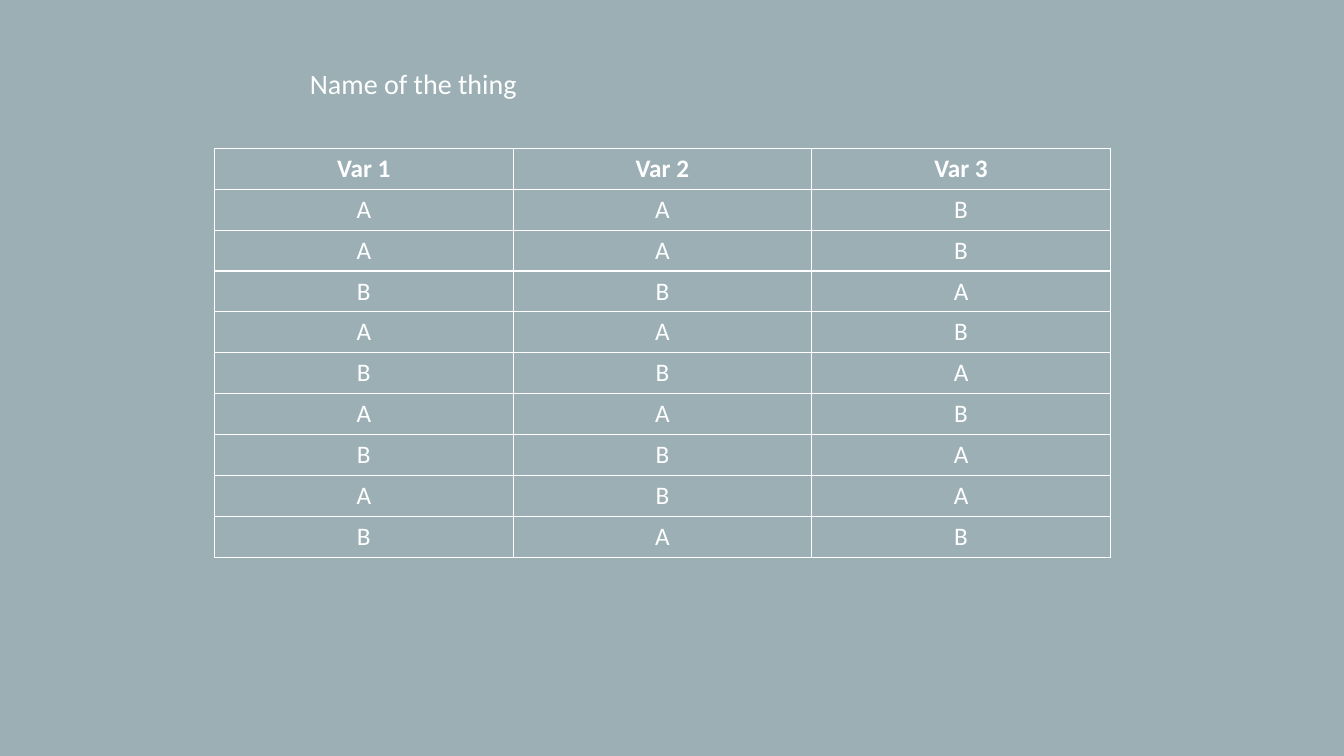
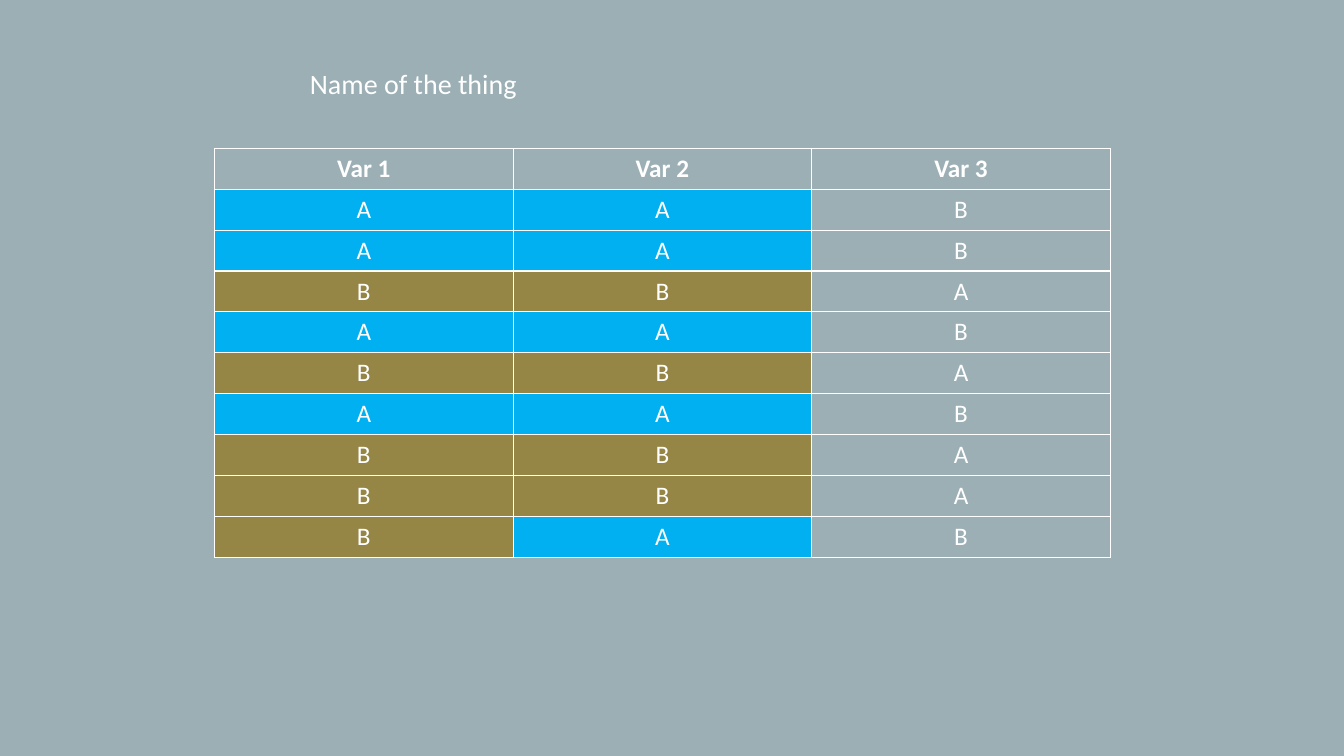
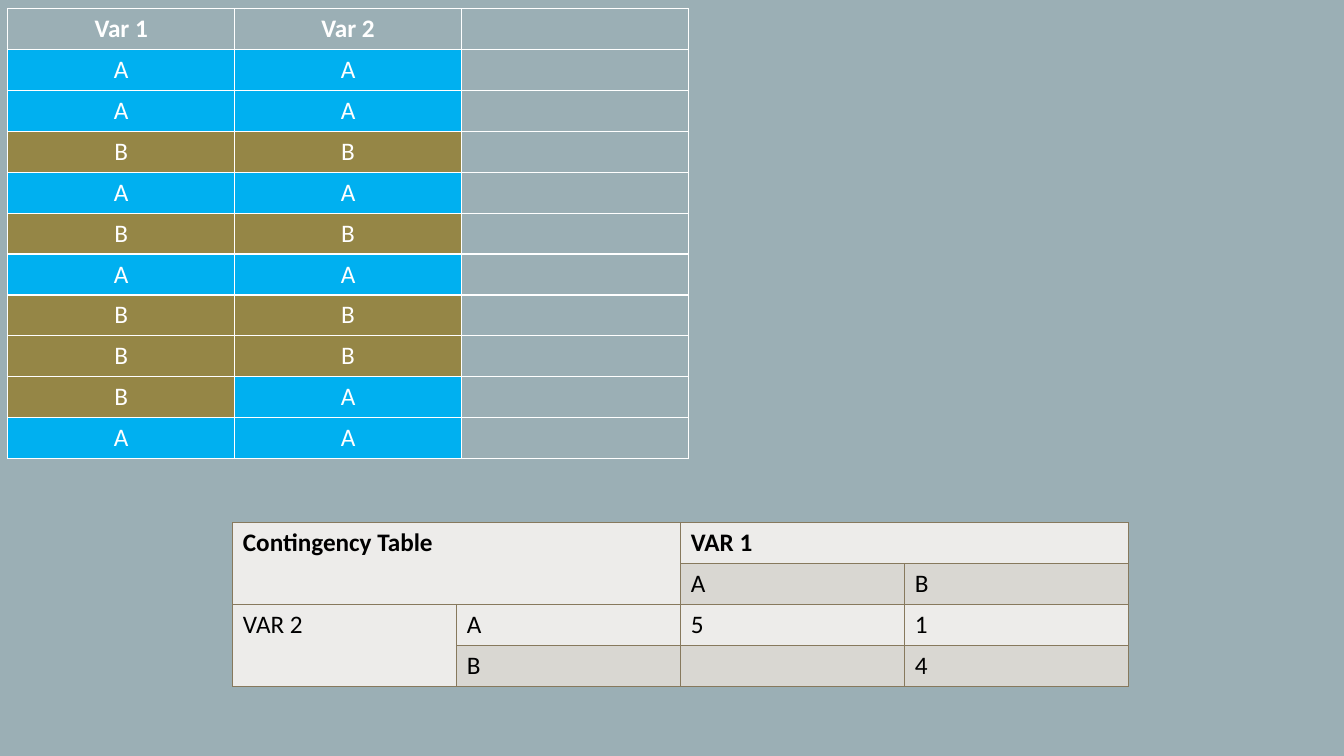
from lxml import etree
from pptx import Presentation
from pptx.dml.color import RGBColor
from pptx.enum.text import PP_ALIGN
from pptx.oxml.ns import qn
from pptx.util import Pt

LEFT, CENTER = PP_ALIGN.LEFT, PP_ALIGN.CENTER
FONT = "Calibri"
COLORS = {
    "page": "9BAFB5",
    "white": "FFFFFF",
    "black": "000000",
    "A": "00B0F0",
    "B": "958646",
    "grid": "87795D",
    "light": "EDECEA",
    "dark": "D9D7D2",
}
ROW_HEIGHT = 29.2
TITLE_BOX = (27.4, 43.9, 535.7, 97.9)
DATA_BOX = (153.2, 106, 640)
SMALL_DATA_BOX = (5.6, 6.3, 486)
CONTINGENCY_BOX = (166.3, 373.4, 640)

HEADERS = ["Var 1", "Var 2", "Var 3"]
FIRST_ROWS = ["AAB", "AAB", "BBA", "AAB", "BBA", "AAB", "BBA", "ABA", "BAB"]
SORTED_ROWS = FIRST_ROWS[:7] + ["BBA"] + FIRST_ROWS[8:]
PAIR_ROWS = [row[:2] + " " for row in SORTED_ROWS] + ["AA "]

CONTINGENCY_ROWS = [
    ["Contingency Table", "", "VAR 1", ""],
    ["", "", "A", "B"],
    ["VAR 2", "A", "5", "1"],
    ["", "B", "", "4"],
]
CONTINGENCY_SPANS = [((0, 0), (1, 1)), ((0, 2), (0, 3)), ((2, 0), (3, 0))]


def rgb(name):
    return RGBColor.from_string(COLORS[name])


def write_text(frame, text, size=18, color="white", bold=False, align=CENTER, before=0):
    para = frame.paragraphs[0]
    para.alignment = align
    para.space_before = Pt(before)
    span = para.add_run()
    span.text = text
    span.font.name = FONT
    span.font.size = Pt(size)
    span.font.bold = bold
    span.font.color.rgb = rgb(color)


def add_borders(cell, color):
    properties = cell._tc.get_or_add_tcPr()
    for side in ("a:lnL", "a:lnR", "a:lnT", "a:lnB"):
        line = etree.SubElement(properties, qn(side), w=str(Pt(1)))
        fill = etree.SubElement(line, qn("a:solidFill"))
        etree.SubElement(fill, qn("a:srgbClr"), val=COLORS[color])


def add_grid(page, box, rows, fill_for, border, **text_format):
    left, top, width = box
    columns = len(rows[0])
    table = page.shapes.add_table(
        len(rows), columns, Pt(left), Pt(top), Pt(width), Pt(ROW_HEIGHT * len(rows))
    ).table
    table.first_row = False
    table.horz_banding = False
    for column in table.columns:
        column.width = Pt(width / columns)
    for row_index, texts in enumerate(rows):
        table.rows[row_index].height = Pt(ROW_HEIGHT)
        for column_index, text in enumerate(texts):
            cell = table.cell(row_index, column_index)
            add_borders(cell, border)
            fill = fill_for(row_index, column_index)
            if fill:
                cell.fill.solid()
                cell.fill.fore_color.rgb = rgb(fill)
            else:
                cell.fill.background()
            if text.strip():
                write_text(cell.text_frame, text, bold=row_index == 0, **text_format)
    return table


def add_data_table(page, box, headers, rows, colored=True):
    def fill_for(row, column):
        return rows[row - 1][column] if colored and row and column < 2 else None

    add_grid(page, box, [headers] + rows, fill_for, "white")


def add_contingency_table(page, box):
    def fill_for(row, column):
        return "dark" if row % 2 and column else "light"

    table = add_grid(page, box, CONTINGENCY_ROWS, fill_for, "grid", color="black", align=LEFT)
    for start, end in CONTINGENCY_SPANS:
        table.cell(*start).merge(table.cell(*end))


def add_title(page, box, text):
    frame = page.shapes.add_textbox(*map(Pt, box)).text_frame
    frame.word_wrap = True
    write_text(frame, text, size=20, before=10)


def add_page(deck):
    page = deck.slides.add_slide(deck.slide_layouts[6])
    page.background.fill.solid()
    page.background.fill.fore_color.rgb = rgb("page")
    return page


def add_data_page(deck, rows, colored):
    page = add_page(deck)
    add_title(page, TITLE_BOX, "Name of the thing")
    add_data_table(page, DATA_BOX, HEADERS, rows, colored)


def add_contingency_page(deck):
    page = add_page(deck)
    add_data_table(page, SMALL_DATA_BOX, HEADERS[:2] + [""], PAIR_ROWS)
    add_contingency_table(page, CONTINGENCY_BOX)


def main():
    deck = Presentation()
    deck.slide_width, deck.slide_height = Pt(960), Pt(540)
    add_data_page(deck, FIRST_ROWS, colored=False)
    add_data_page(deck, SORTED_ROWS, colored=True)
    add_contingency_page(deck)
    deck.save("out.pptx")


if __name__ == "__main__":
    main()
